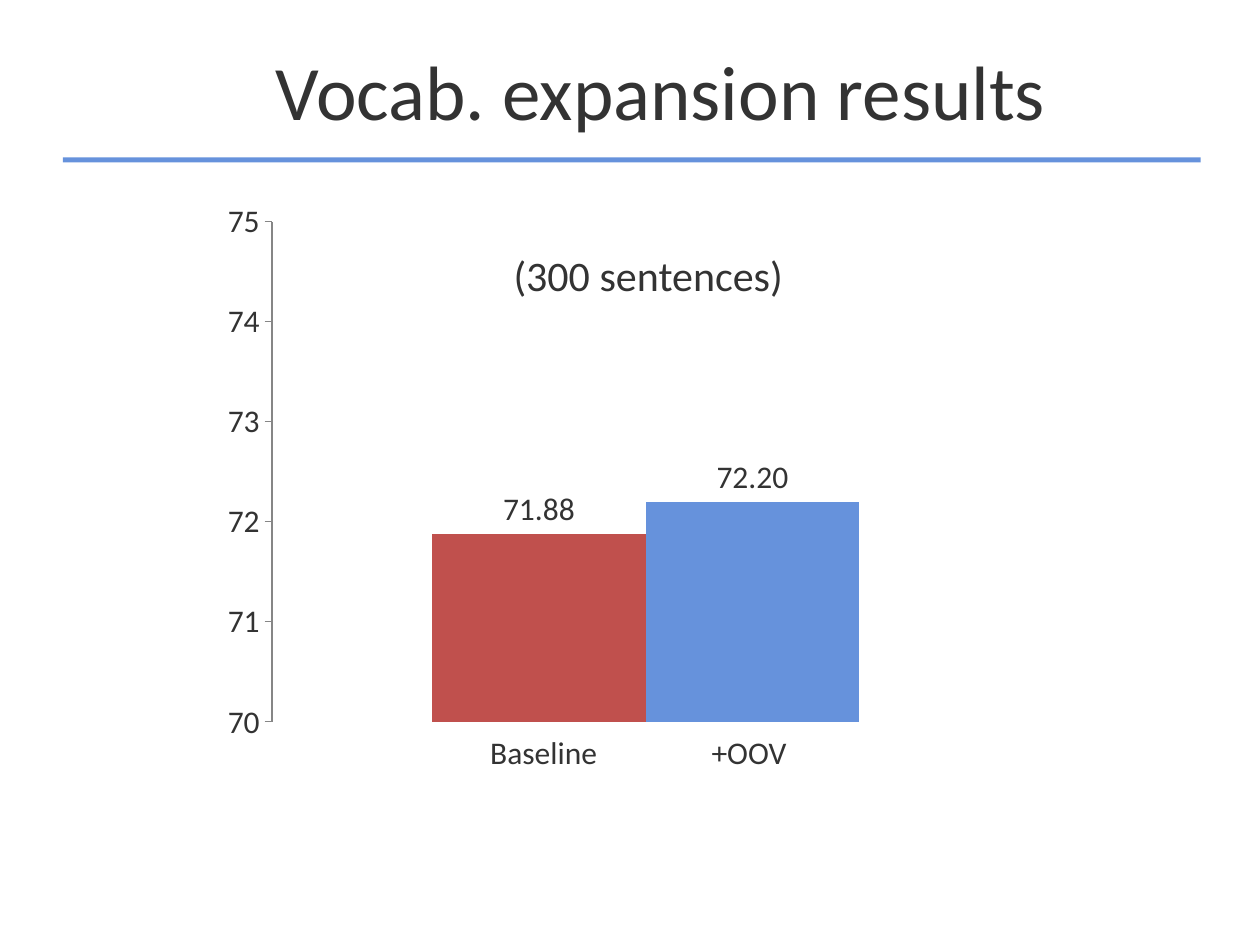
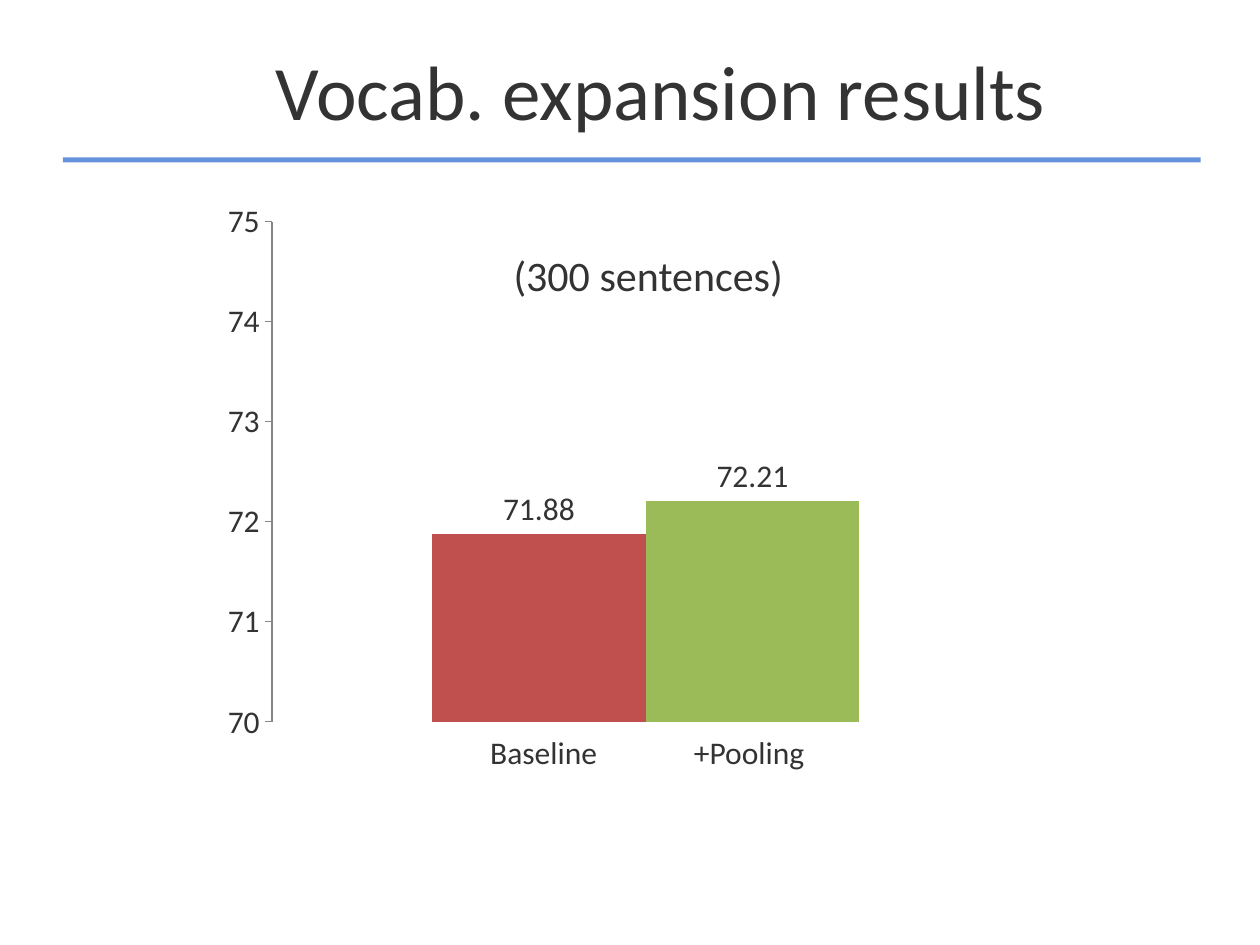
from lxml.etree import SubElement
from pptx import Presentation
from pptx.chart.data import CategoryChartData
from pptx.dml.color import RGBColor
from pptx.enum.chart import XL_CHART_TYPE, XL_LABEL_POSITION, XL_TICK_MARK
from pptx.enum.shapes import MSO_SHAPE
from pptx.enum.text import MSO_ANCHOR, PP_ALIGN
from pptx.oxml.ns import qn
from pptx.util import Inches, Pt

TEXT, BLUE, RED, GREEN, AXIS = "333333", "6692DC", "C0504D", "9BBB59", "868686"
CHART_BOX = (1.68, 1.53, 6.54, 4.44)
PLOT_BOX = (2.16, 1.76, 5.93, 3.97)
LABEL_LEFT, LABEL_WIDTH = 3.5, 1.63
RESULTS = [("+OOV", 72.20, BLUE), ("+Pooling", 72.21, GREEN)]


def colour(value):
    return RGBColor.from_string(value)


def write(box, text, size):
    frame = box.text_frame
    frame.word_wrap = True
    para = frame.paragraphs[0]
    para.alignment = PP_ALIGN.CENTER
    span = para.add_run()
    span.text = text
    for name, value in {"name": "Calibri", "size": Pt(size)}.items():
        setattr(span.font, name, value)
    span.font.color.rgb = colour(TEXT)


deck = Presentation()
deck.slide_width, deck.slide_height = Inches(10), Inches(7.5)

for method, score, method_colour in RESULTS:
    page = deck.slides.add_slide(deck.slide_layouts[5])

    title = page.shapes.title
    position = {"left": 1.33, "top": 0.16, "width": 7.83, "height": 1.1}
    for name, value in position.items():
        setattr(title, name, Inches(value))
    title.text_frame.vertical_anchor = MSO_ANCHOR.MIDDLE
    write(title, "Vocab. expansion results", 44)

    rule = page.shapes.add_shape(
        MSO_SHAPE.RECTANGLE, Inches(0.5), Inches(1.25), Inches(9.03), Inches(0.04))
    rule.shadow.inherit = False
    rule.fill.solid()
    rule.fill.fore_color.rgb = colour(BLUE)
    rule.line.fill.background()

    data = CategoryChartData()
    data.categories = ["1"]
    data.add_series("Series 1", [71.88])
    data.add_series("Series 2", [score])
    chart = page.shapes.add_chart(
        XL_CHART_TYPE.COLUMN_CLUSTERED, *map(Inches, CHART_BOX), data).chart
    chart.has_legend = False
    chart.has_title = False
    for name, value in {"name": "Calibri", "size": Pt(18)}.items():
        setattr(chart.font, name, value)
    chart.font.color.rgb = colour(TEXT)

    chart.category_axis.visible = False
    axis = chart.value_axis
    axis_format = {
        "minimum_scale": 70, "maximum_scale": 75, "major_unit": 1,
        "has_major_gridlines": False,
        "major_tick_mark": XL_TICK_MARK.OUTSIDE,
        "minor_tick_mark": XL_TICK_MARK.NONE,
    }
    for name, value in axis_format.items():
        setattr(axis, name, value)
    axis.tick_labels.number_format = "#,##0"
    axis.tick_labels.number_format_is_linked = False
    axis.format.line.color.rgb = colour(AXIS)
    axis.format.line.width = Pt(0.75)

    plot = chart.plots[0]
    plot.gap_width, plot.overlap, plot.vary_by_categories = 150, 0, False
    for series, bar_colour in zip(plot.series, (RED, method_colour)):
        series.format.fill.solid()
        series.format.fill.fore_color.rgb = colour(bar_colour)
        labels = series.data_labels
        label_format = {
            "show_value": True, "number_format": "0.00",
            "number_format_is_linked": False,
            "position": XL_LABEL_POSITION.OUTSIDE_END,
        }
        for name, value in label_format.items():
            setattr(labels, name, value)

    plot_area = chart.element.find(".//" + qn("c:plotArea"))
    for old_layout in plot_area.findall(qn("c:layout")):
        plot_area.remove(old_layout)
    layout = SubElement(plot_area, qn("c:layout"))
    plot_area.insert(0, layout)
    manual = SubElement(layout, qn("c:manualLayout"))
    left, top, width, height = CHART_BOX
    plot_left, plot_top, plot_width, plot_height = PLOT_BOX
    settings = {
        "layoutTarget": "inner", "xMode": "edge", "yMode": "edge",
        "x": (plot_left - left) / width, "y": (plot_top - top) / height,
        "w": plot_width / width, "h": plot_height / height,
    }
    for name, value in settings.items():
        SubElement(manual, qn("c:" + name)).set("val", str(value))

    for index, label in enumerate(("Baseline", method)):
        box = page.shapes.add_textbox(
            Inches(LABEL_LEFT + index * LABEL_WIDTH), Inches(5.77),
            Inches(LABEL_WIDTH), Inches(0.4))
        write(box, label, 18)

    box = page.shapes.add_textbox(Inches(2.94), Inches(1.93), Inches(4.41), Inches(0.5))
    write(box, "(300 sentences)", 24)

deck.save("out.pptx")
